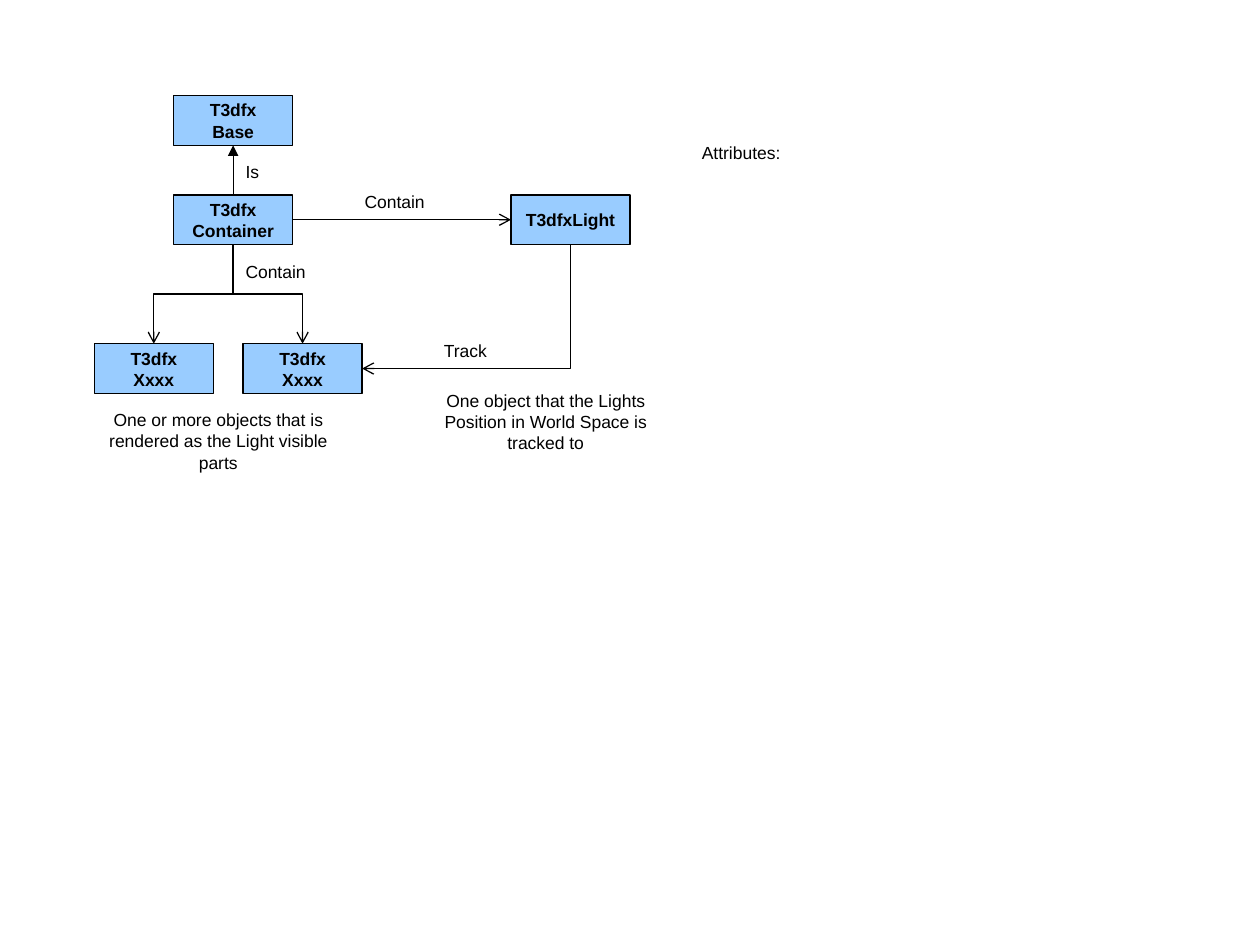
"""Build a class diagram slide showing how the light container relates to its parts."""
from dataclasses import dataclass

from lxml.etree import SubElement
from pptx import Presentation
from pptx.dml.color import RGBColor
from pptx.enum.shapes import MSO_CONNECTOR, MSO_SHAPE
from pptx.enum.text import MSO_ANCHOR, MSO_AUTO_SIZE, PP_ALIGN
from pptx.oxml.ns import qn
from pptx.util import Cm, Pt


@dataclass(frozen=True)
class Theme:
    fill: RGBColor = RGBColor(0x99, 0xCC, 0xFF)
    ink: RGBColor = RGBColor(0, 0, 0)
    font: str = "Arial"
    size: Pt = Pt(10)
    line: Pt = Pt(0.75)


THEME = Theme()
CLASS_WIDTH, CLASS_HEIGHT = 2.4, 1
TOP, LEFT, BOTTOM, RIGHT = range(4)

CLASSES = {
    "light": ("T3dfxLight", 10.3, 3.93),
    "container": ("T3dfx\nContainer", 3.5, 3.93),
    "base": ("T3dfx\nBase", 3.5, 1.93),
    "first part": ("T3dfx\nXxxx", 1.9, 6.93),
    "second part": ("T3dfx\nXxxx", 4.9, 6.93),
}
STRAIGHT_RELATIONS = [
    ("container", RIGHT, "light", LEFT, "arrow"),
    ("container", TOP, "base", BOTTOM, "triangle"),
]
BENT_RELATIONS = [
    ("container", "first part", TOP, "bentConnector3"),
    ("container", "second part", TOP, "bentConnector3"),
    ("light", "second part", RIGHT, "bentConnector2"),
]
RELATION_LABELS = [
    ("Is", 4.7, 3.13, 0.8),
    ("Contain", 7.1, 3.73, 1.8),
    ("Contain", 4.7, 5.13, 1.8),
    ("Track", 8.7, 6.73, 1.4),
]
NOTES = [
    ("One or more objects that is rendered as the Light visible parts", 1.9, 8.13, 1.53, PP_ALIGN.CENTER),
    ("One object that the Lights Position in World Space is tracked to", 8.5, 7.73, 1.53, PP_ALIGN.CENTER),
    ("Attributes:", 13.9, 2.73, 1.12, PP_ALIGN.LEFT),
]


def write(frame, text, align, bold=False, wrap=False):
    frame.text = text
    frame.word_wrap = wrap
    for paragraph in frame.paragraphs:
        paragraph.alignment = align
        for run in paragraph.runs:
            run.font.name, run.font.size, run.font.bold = THEME.font, THEME.size, bold
            run.font.color.rgb = THEME.ink


def add_class(slide, text, left, top):
    box = slide.shapes.add_shape(MSO_SHAPE.RECTANGLE, Cm(left), Cm(top), Cm(CLASS_WIDTH), Cm(CLASS_HEIGHT))
    box.shadow.inherit = False
    box.fill.solid()
    box.fill.fore_color.rgb = THEME.fill
    box.line.color.rgb = THEME.ink
    box.line.width = THEME.line
    box.text_frame.vertical_anchor = MSO_ANCHOR.MIDDLE
    write(box.text_frame, text, PP_ALIGN.CENTER, bold=True)
    return box


def add_text(slide, text, left, top, width, height, align=PP_ALIGN.LEFT, wrap=False):
    label = slide.shapes.add_textbox(Cm(left), Cm(top), Cm(width), Cm(height))
    write(label.text_frame, text, align, wrap=wrap)
    label.text_frame.auto_size = MSO_AUTO_SIZE.SHAPE_TO_FIT_TEXT


def join(slide, kind, source, source_side, target, target_side, head="arrow"):
    relation = slide.shapes.add_connector(kind, 0, 0, 0, 0)
    relation.begin_connect(source, source_side)
    relation.end_connect(target, target_side)
    relation.line.color.rgb = THEME.ink
    relation.line.width = THEME.line
    SubElement(relation.line._get_or_add_ln(), qn("a:tailEnd"), type=head)
    SubElement(relation._element.spPr, qn("a:effectLst"))
    return relation


def turn_down(relation, preset):
    rightwards = relation.end_x > relation.begin_x
    left, top, width, height = relation.left, relation.top, relation.width, relation.height
    relation.left = left + (width - height) // 2
    relation.top = top + (height - width) // 2
    relation.width, relation.height = height, width
    properties = relation._element.spPr
    frame = properties.find(qn("a:xfrm"))
    frame.set("rot", str((270 if rightwards else 90) * 60000))
    frame.set("flipH", "1" if rightwards else "0")
    frame.set("flipV", "0")
    properties.find(qn("a:prstGeom")).set("prst", preset)


def main():
    deck = Presentation()
    deck.slide_width, deck.slide_height = Cm(25.4), Cm(19.05)
    slide = deck.slides.add_slide(deck.slide_layouts[6])

    classes = {name: add_class(slide, *entry) for name, entry in CLASSES.items()}
    for source, source_side, target, target_side, head in STRAIGHT_RELATIONS:
        join(slide, MSO_CONNECTOR.STRAIGHT, classes[source], source_side, classes[target], target_side, head)
    for source, target, target_side, preset in BENT_RELATIONS:
        relation = join(slide, MSO_CONNECTOR.ELBOW, classes[source], BOTTOM, classes[target], target_side)
        turn_down(relation, preset)
    for text, left, top, width in RELATION_LABELS:
        add_text(slide, text, left, top, width, 0.69)
    for text, left, top, height, align in NOTES:
        add_text(slide, text, left, top, 5, height, align, wrap=True)

    deck.save("out.pptx")


if __name__ == "__main__":
    main()
